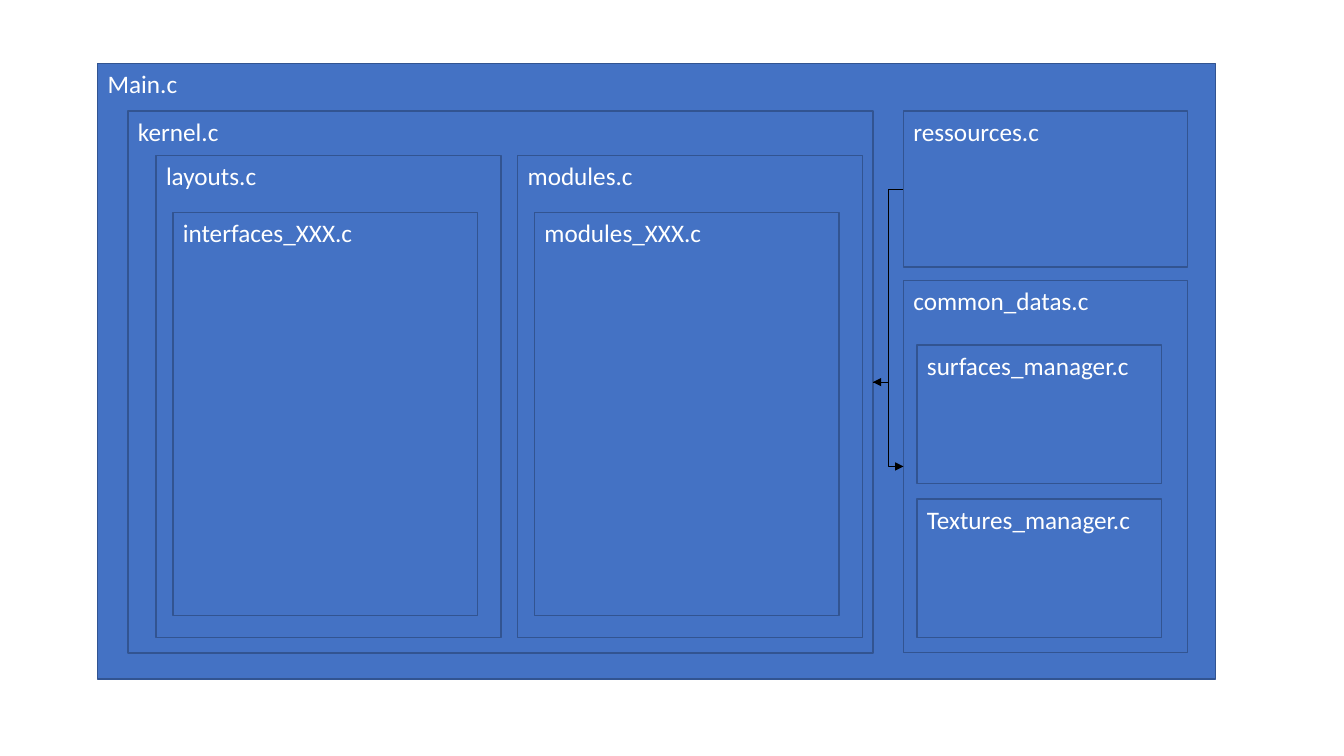
from dataclasses import dataclass

from lxml import etree
from pptx import Presentation
from pptx import util as u
from pptx.dml.color import RGBColor
from pptx.enum import shapes, text
from pptx.oxml.ns import qn
from pptx.shapes.autoshape import Shape
from pptx.shapes.shapetree import SlideShapes


@dataclass(frozen=True)
class Theme:
    fill: RGBColor = RGBColor(0x44, 0x72, 0xC4)
    edge: RGBColor = RGBColor(0x32, 0x54, 0x91)
    ink: RGBColor = RGBColor(0xFF, 0xFF, 0xFF)
    arrow: RGBColor = RGBColor(0, 0, 0)
    font: str = "Calibri"
    size: float = 18
    border: float = 1
    wire: float = 0.5


@dataclass(frozen=True)
class Box:
    label: str
    left: float
    top: float
    width: float
    height: float


@dataclass(frozen=True)
class Link:
    """Arrow between two boxes, by label and connection site."""
    start: str
    out: int
    end: str
    into: int


THEME = Theme()
LEFT, RIGHT = 1, 3
SIDE = 645.3
HALF = 258.3  # step from the layouts column to the modules column

BOXES = [
    Box("Main.c", 69.8, 45.4, 798.5, 439.7),
    Box("kernel.c", 91.5, 79.3, 532, 387.2),
    Box("ressources.c", SIDE, 79.3, 203, 111.4),
    Box("common_datas.c", SIDE, 200.3, 203, 265.8),
]
BOXES += [
    Box(label, SIDE + 9.7, 246.4 + 110 * row, 174.8, 99.2)
    for row, label in enumerate(["surfaces_manager.c", "Textures_manager.c"])
]
PAIRS = [("layouts.c", "interfaces_XXX.c"), ("modules.c", "modules_XXX.c")]
for col, (outer, inner) in enumerate(PAIRS):
    x = 111.5 + HALF * col
    BOXES += [Box(outer, x, 111, 246.3, 344.4), Box(inner, x + 12, 151.8, 217.6, 288)]

LINKS = [
    Link("ressources.c", LEFT, "kernel.c", RIGHT),
    Link("kernel.c", RIGHT, "common_datas.c", LEFT),
]


def apply(item: object, values: dict[str, object]) -> None:
    for key, value in values.items():
        setattr(item, key, value)


def draw_box(tree: SlideShapes, box: Box) -> Shape:
    spot = map(u.Pt, (box.left, box.top, box.width, box.height))
    shape = tree.add_shape(shapes.MSO_SHAPE.RECTANGLE, *spot)
    shape.shadow.inherit = False
    shape.fill.solid()
    shape.fill.fore_color.rgb = THEME.fill
    shape.line.color.rgb = THEME.edge
    shape.line.width = u.Pt(THEME.border)
    frame = shape.text_frame
    apply(frame, {"word_wrap": True, "vertical_anchor": text.MSO_ANCHOR.TOP})
    para = frame.paragraphs[0]
    para.alignment = text.PP_ALIGN.LEFT
    run = para.add_run()
    run.text = box.label
    apply(run.font, {"name": THEME.font, "size": u.Pt(THEME.size)})
    run.font.color.rgb = THEME.ink
    return shape


def draw_link(tree: SlideShapes, link: Link, drawn: dict[str, Shape]) -> None:
    wire = tree.add_connector(shapes.MSO_CONNECTOR.ELBOW, 0, 0, 0, 0)
    wire.begin_connect(drawn[link.start], link.out)
    wire.end_connect(drawn[link.end], link.into)
    wire.line.color.rgb = THEME.arrow
    wire.line.width = u.Pt(THEME.wire)
    props = wire._element.spPr
    etree.SubElement(props.find(qn("a:ln")), qn("a:tailEnd"), type="triangle")
    etree.SubElement(props, qn("a:effectLst"))


def main() -> None:
    deck = Presentation()
    apply(deck, {"slide_width": u.Pt(960), "slide_height": u.Pt(540)})
    tree = deck.slides.add_slide(deck.slide_layouts[6]).shapes
    drawn = {box.label: draw_box(tree, box) for box in BOXES}
    for link in LINKS:
        draw_link(tree, link, drawn)
    deck.save("out.pptx")


if __name__ == "__main__":
    main()
